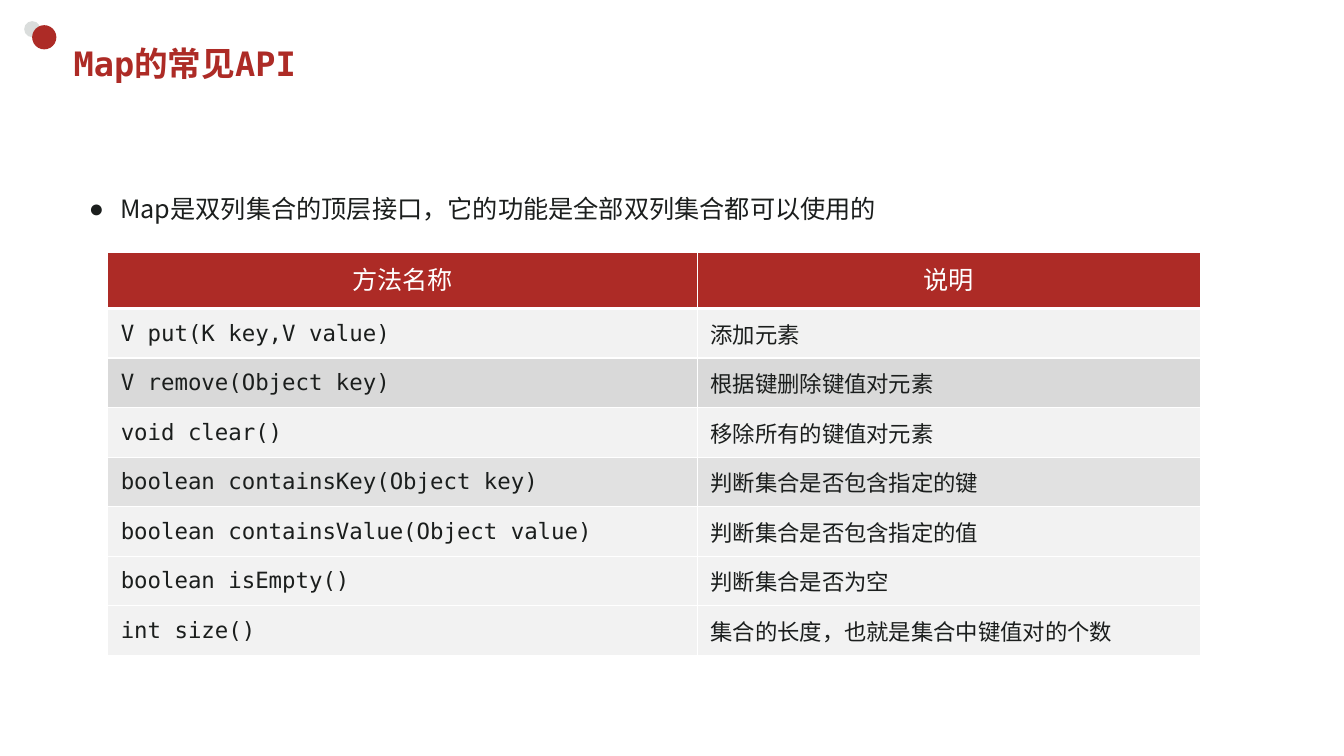
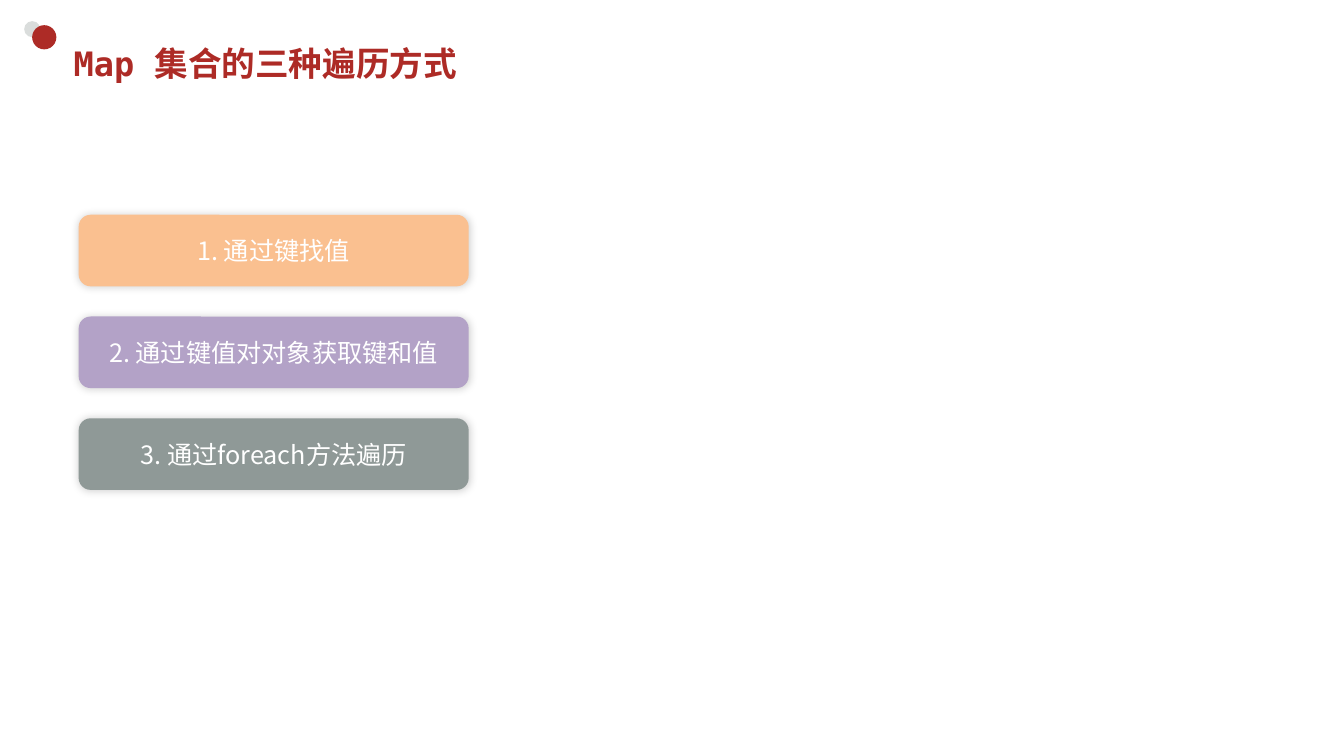
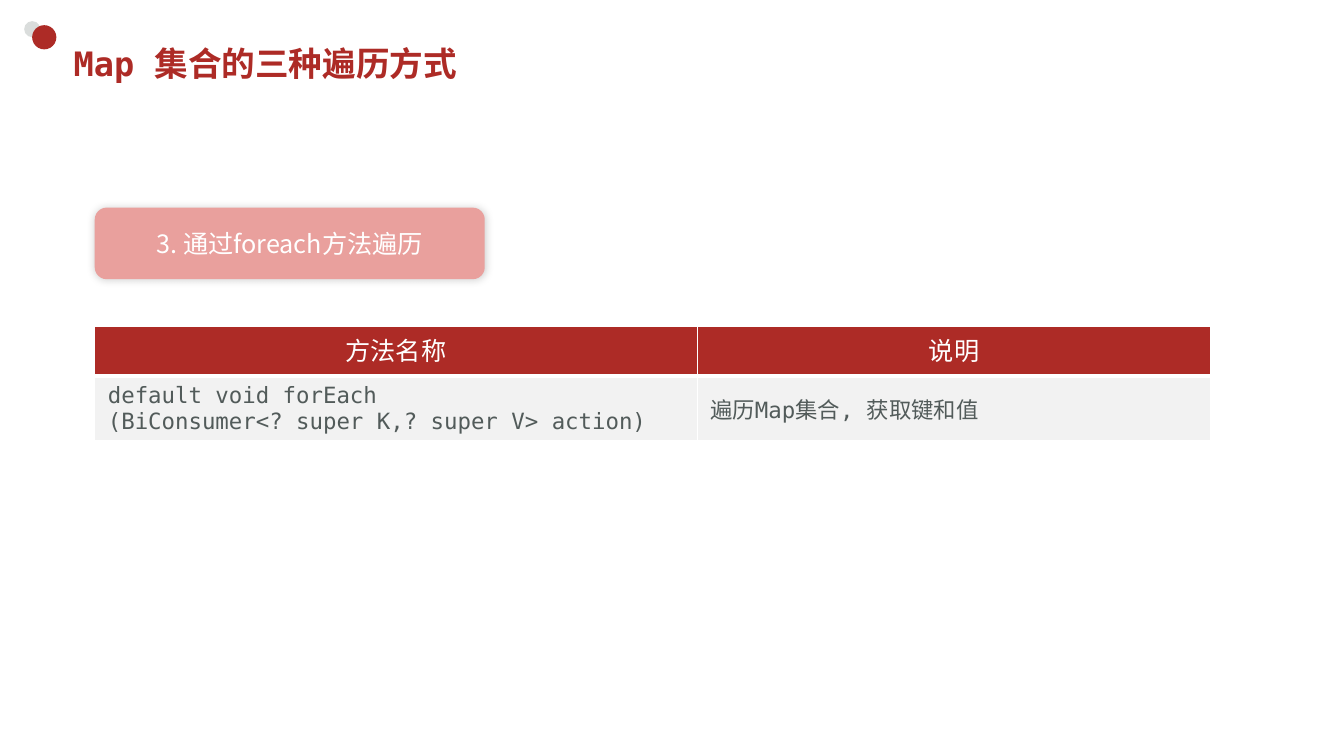
from pptx import Presentation
from pptx import util as u
from pptx.dml.color import RGBColor
from pptx.enum import shapes, text
from pptx.oxml.ns import qn
from lxml import etree

Pt = u.Pt
MONO, SANS, HEAD = "DejaVu Sans Mono", "Noto Sans CJK JP", "Lato"
HUES = {
    "red": "AD2B26", "mist": "DADDDC", "white": "FFFFFF", "ink": "1B1E1D",
    "slate": "525B5A", "pale": "F2F2F2", "gray": "D9D9D9", "soft": "E1E1E1",
    "peach": "FAC090", "lilac": "B3A2C7", "sage": "8F9997", "rose": "E9A09D",
    "black": "000000",
}
TITLE = (45.4, 26.6, 845.3, 37.4)
DOTS = [((17.3, 15.1, 11.5, 11.5), "mist"), ((23, 18, 17.3, 17.3), "red")]
TAG = (278.6, 51.1)
STEP = 72.7
WAYS = ["1. 通过键找值", "2. 通过键值对对象获取键和值", "3. 通过foreach方法遍历"]
TOPIC = "Map 集合的三种遍历方式"
HEADS = ("方法名称", "说明")
CALLS = [
    ("V put(K key,V value)", "添加元素", "pale"),
    ("V remove(Object key)", "根据键删除键值对元素", "gray"),
    ("void clear()", "移除所有的键值对元素", "pale"),
    ("boolean containsKey(Object key)", "判断集合是否包含指定的键", "soft"),
    ("boolean containsValue(Object value)", "判断集合是否包含指定的值", "pale"),
    ("boolean isEmpty()", "判断集合是否为空", "pale"),
    ("int size()", "集合的长度，也就是集合中键值对的个数", "pale"),
]
EACH = [("default void forEach\n(BiConsumer<? super K,? super V> action)",
         "遍历Map集合, 获取键和值", "pale")]


def hue(name):
    return RGBColor.from_string(HUES[name])


def sub(root, tag, **attrs):
    return etree.SubElement(root, qn(tag), **attrs)


def place(shape, box):
    shape.left, shape.top, shape.width, shape.height = map(Pt, box)


def paint(shape, name):
    shape.fill.solid()
    shape.fill.fore_color.rgb = hue(name)


def write(para, words, size, face, name, bold=False):
    run = para.add_run()
    run.text = words
    font = run.font
    font.size, font.name, font.bold = Pt(size), face, bold
    sub(run._r.get_or_add_rPr(), "a:ea", typeface=SANS)
    font.color.rgb = hue(name)


def draw(slide, kind, box, name):
    shape = slide.shapes.add_shape(kind, *map(Pt, box))
    paint(shape, name)
    shape.line.fill.background()
    shape.shadow.inherit = False
    return shape


def brand(deck, slide):
    master = deck.slide_master
    for i, (box, name) in enumerate(DOTS):
        dot = draw(slide, shapes.MSO_SHAPE.OVAL, box, name)
        dot.element.xpath(".//p:cNvPr")[0].set("id", str(90 + i))
        master.shapes.element.insert(2 + i, dot.element)
    for shape in master.placeholders:
        if shape.placeholder_format.type == shapes.PP_PLACEHOLDER.TITLE:
            place(shape, TITLE)


def start(deck, layout, words):
    slide = deck.slides.add_slide(deck.slide_layouts[layout])
    title = slide.shapes.title
    place(title, TITLE)
    frame = title.text_frame
    frame.auto_size = text.MSO_AUTO_SIZE.NONE
    frame.vertical_anchor = text.MSO_ANCHOR.MIDDLE
    para = frame.paragraphs[0]
    para.alignment = text.PP_ALIGN.LEFT
    write(para, words, 24, MONO, "red", True)
    return slide


def point(body, box, words):
    place(body, box)
    frame = body.text_frame
    frame.auto_size = text.MSO_AUTO_SIZE.SHAPE_TO_FIT_TEXT
    para = frame.paragraphs[0]
    props = para._p.get_or_add_pPr()
    props.set("marL", str(Pt(22.5)))
    props.set("indent", str(-Pt(22.5)))
    sub(props, "a:buChar", char="●")
    para.line_spacing = 2.0
    para.space_before = Pt(0)
    write(para, words, 18, SANS, "ink")


def tag(slide, left, top, words, name):
    kind = shapes.MSO_SHAPE.ROUNDED_RECTANGLE
    shape = draw(slide, kind, (left, top, *TAG), name)
    glow = shape.element.spPr.find(qn("a:effectLst"))
    shade = sub(glow, "a:outerShdw", blurRad=str(Pt(6)), dist="0",
                dir="13500000", algn="ctr", rotWithShape="0")
    tint = sub(shade, "a:srgbClr", val=HUES["black"])
    sub(tint, "a:alpha", val="20000")
    frame = shape.text_frame
    frame.word_wrap = True
    frame.vertical_anchor = text.MSO_ANCHOR.MIDDLE
    para = frame.paragraphs[0]
    para.alignment = text.PP_ALIGN.CENTER
    write(para, words, 18, SANS, "white")


def edge(cell, above, below):
    props = cell._tc.get_or_add_tcPr()
    for side, wide in zip("LRTB", (1, 1, above, below)):
        line = sub(props, "a:ln" + side, w=str(Pt(wide)))
        sub(sub(line, "a:solidFill"), "a:srgbClr", val=HUES["white"])


def fill(cell, words, style, pad, back, head=False):
    paint(cell, back)
    cell.vertical_anchor = text.MSO_ANCHOR.MIDDLE
    cell.margin_left = cell.margin_right = Pt(pad[0])
    cell.margin_top = cell.margin_bottom = Pt(pad[1])
    frame = cell.text_frame
    for i, line in enumerate(words.split("\n")):
        para = frame.add_paragraph() if i else frame.paragraphs[0]
        if head:
            para.alignment = text.PP_ALIGN.CENTER
            para.line_spacing = Pt(24)
        write(para, line, *style)


def grid(slide, left, top, cols, tall, rows, faces, name, last=1):
    high = [tall[0]] + [tall[1]] * len(rows)
    box = (left, top, sum(cols), sum(high))
    table = slide.shapes.add_table(len(high), 2, *map(Pt, box)).table
    for col, wide in zip(table.columns, cols):
        col.width = Pt(wide)
    for i, (row, size) in enumerate(zip(table.rows, high)):
        row.height = Pt(size)
        for j, cell in enumerate(row.cells):
            edge(cell, 3 if i == 1 else 1,
                 3 if i == 0 else last if i == len(rows) else 1)
            if i == 0:
                fill(cell, HEADS[j], (18, faces[0], "white"), (7.2, 3.6), "red", True)
            else:
                item = rows[i - 1]
                fill(cell, item[j], (16, faces[j + 1], name), (9.4, 5), item[2])


def main():
    deck = Presentation()
    deck.slide_width, deck.slide_height = Pt(960), Pt(540)

    slide = start(deck, 1, "Map的常见API")
    brand(deck, slide)
    point(slide.placeholders[1], (56.2, 113, 855.4, 45.4),
          "Map是双列集合的顶层接口，它的功能是全部双列集合都可以使用的")
    grid(slide, 76.9, 180, (421.2, 359.3), (40.4, 35.4), CALLS,
         (HEAD, MONO, SANS), "ink")

    slide = start(deck, 5, TOPIC)
    for i, (words, name) in enumerate(zip(WAYS, ("peach", "lilac", "sage"))):
        tag(slide, 56.2, 153.4 + i * STEP, words, name)

    slide = start(deck, 5, TOPIC)
    tag(slide, 67.7, 148.3, WAYS[-1], "rose")
    grid(slide, 67.7, 233.3, (430.3, 367), (35.2, 34.6), EACH,
         (MONO, MONO, MONO), "slate", 3)

    deck.save("out.pptx")


if __name__ == "__main__":
    main()
